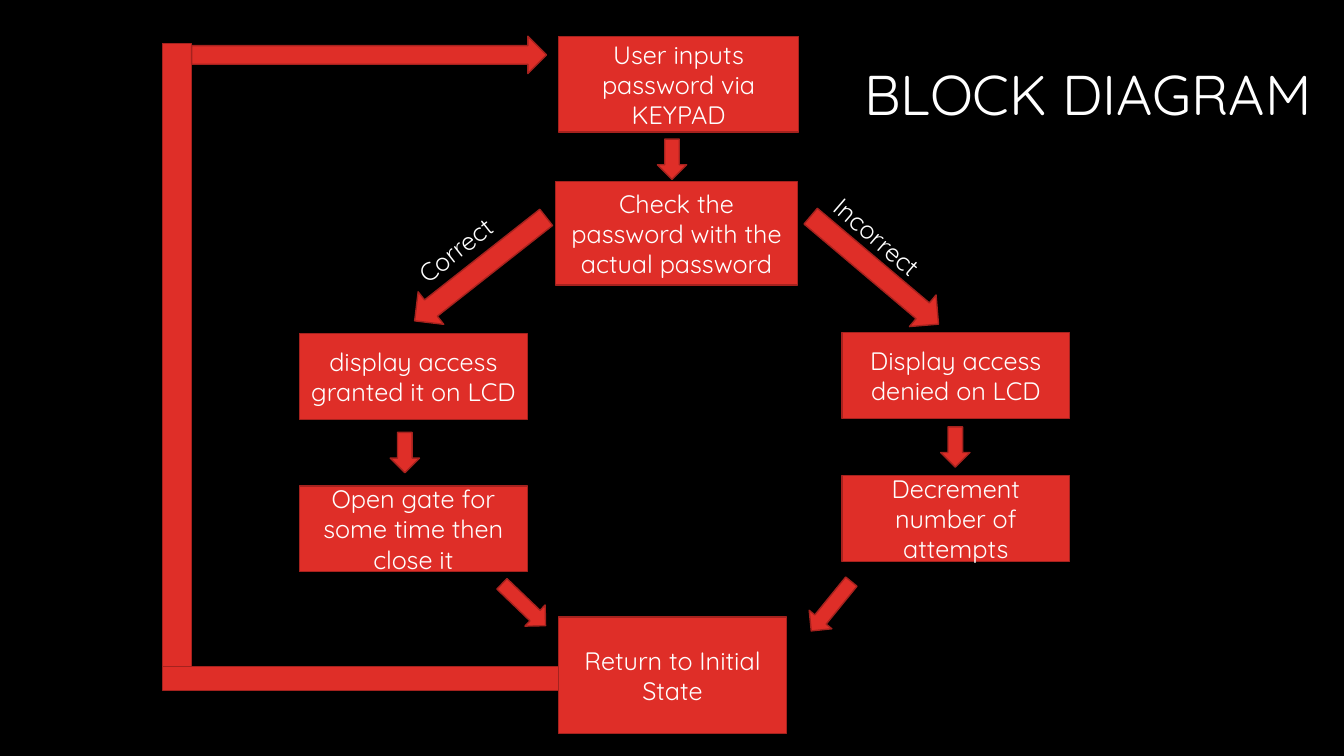
from pptx import Presentation
from pptx.dml.color import RGBColor
from pptx.enum.shapes import MSO_SHAPE
from pptx.enum.text import MSO_ANCHOR, MSO_AUTO_SIZE, PP_ALIGN
from pptx.util import Inches, Pt

# Grid of 0.1 inch cells: 133.3 columns by 75 rows
CELL = Inches(0.1)
COLUMNS, ROWS = 133.3, 75
FONT = "Quicksand"
BLACK, WHITE, RED, DARK_RED = "000000", "FFFFFF", "DF2E28", "A5221E"
STEP_WIDTH, STEP_HEIGHT = 22.6, 8.5
ARROW_WIDTH, ARROW_HEIGHT = 2.9, 4


def color(hex_value):
    return RGBColor.from_string(hex_value)


def cells(*lengths):
    return [round(length * CELL) for length in lengths]


def write(shape, text, size=18, align=PP_ALIGN.CENTER, anchor=MSO_ANCHOR.MIDDLE):
    frame = shape.text_frame
    frame.word_wrap = True
    frame.vertical_anchor = anchor
    frame.text = text
    paragraph = frame.paragraphs[0]
    paragraph.alignment = align
    font = paragraph.runs[0].font
    font.name, font.size = FONT, Pt(size)
    font.color.rgb = color(WHITE)
    return paragraph


def add_red_shape(slide, kind, box, rotation=0):
    shape = slide.shapes.add_shape(kind, *cells(*box))
    shape.rotation = rotation
    shape.shadow.inherit = False
    shape.fill.solid()
    shape.fill.fore_color.rgb = color(RED)
    shape.line.color.rgb = color(DARK_RED)
    shape.line.width = Pt(1)
    return shape


def add_step(slide, text, box):
    write(add_red_shape(slide, MSO_SHAPE.RECTANGLE, box), text)


def add_down_arrow(slide, left, top, width=ARROW_WIDTH, height=ARROW_HEIGHT, rotation=0):
    add_red_shape(slide, MSO_SHAPE.DOWN_ARROW, (left, top, width, height), rotation)


def add_label(slide, text, box, rotation):
    label = slide.shapes.add_textbox(*cells(*box))
    label.rotation = rotation
    write(label, text, align=PP_ALIGN.LEFT, anchor=MSO_ANCHOR.TOP)
    label.text_frame.auto_size = MSO_AUTO_SIZE.SHAPE_TO_FIT_TEXT


def draw_title(slide, left, top, width, height):
    title = slide.shapes.add_textbox(*cells(left, top, width, height))
    write(title, "BLOCK DIAGRAM", size=40).line_spacing = 0.9


def draw_password_check(slide, left, top, width):
    """Password entry with the check below it."""
    add_step(slide, "User inputs password via KEYPAD", (left + 0.3, top, width - 0.2, 9.5))
    add_down_arrow(slide, left + 10.1, top + 10.2)
    add_step(slide, "Check the password with the actual password",
             (left, top + 14.4, width, 10.3))


def draw_decision(slide, text, left, top, turn, label_box, label_turn):
    """Slanted arrow out of the check, with its label."""
    add_down_arrow(slide, left, top, 4.1, 16.6, turn)
    label_left, label_top, label_width = label_box
    add_label(slide, text, (left + label_left, top + label_top, label_width, 4), label_turn)


def draw_branch(slide, texts, left, top, pitch, arrow_left, exit_arrow):
    """Two stacked steps and the arrow that leaves them."""
    for index, text in enumerate(texts):
        add_step(slide, text, (left, top + index * pitch, STEP_WIDTH, STEP_HEIGHT))
    middle = (pitch + STEP_HEIGHT) / 2
    add_down_arrow(slide, left + arrow_left, top + middle - ARROW_HEIGHT / 2)
    exit_left, exit_top, exit_height, turn = exit_arrow
    add_down_arrow(slide, left + exit_left, top + exit_top, height=exit_height, rotation=turn)


def draw_return_loop(slide, left, top, width, height):
    """Final step and the bars that lead back to the start."""
    bar, foot = 2.9, 2.4
    add_step(slide, "Return to Initial State",
             (left + width, top + height - 4.9, STEP_WIDTH, 11.6))
    add_red_shape(slide, MSO_SHAPE.RECTANGLE, (left, top + height, width, foot))
    add_red_shape(slide, MSO_SHAPE.RECTANGLE, (left, top, bar, height))
    add_red_shape(slide, MSO_SHAPE.RIGHT_ARROW, (left + bar, top - 0.7, 35.2, 3.7))


def main():
    presentation = Presentation()
    presentation.slide_width, presentation.slide_height = cells(COLUMNS, ROWS)
    slide = presentation.slides.add_slide(presentation.slide_layouts[6])
    slide.background.fill.solid()
    slide.background.fill.fore_color.rgb = color(BLACK)

    draw_password_check(slide, 55.1, 3.6, 24)
    draw_decision(slide, "Correct", 45.6, 18.4, 51.8, (-5.9, 3.7, 12.7), 321.9)
    draw_decision(slide, "Incorrect", 84.7, 18.5, 310.2, (-4, 3.5, 13.7), 40.8)
    draw_branch(slide,
                ["display access granted it on LCD", "Open gate for some time then close it"],
                29.7, 33.1, 15.1, 9, (20.8, 23.9, 6, 313.8))
    draw_branch(slide,
                ["Display access denied on LCD", "Decrement number of attempts"],
                83.5, 33, 14.2, 9.8, (-2.5, 24, 6.3, 39.1))
    draw_return_loop(slide, 16.1, 4.3, 39.3, 61.8)
    draw_title(slide, 82.5, 2.9, 50.8, 13.6)
    presentation.save("out.pptx")


if __name__ == "__main__":
    main()
